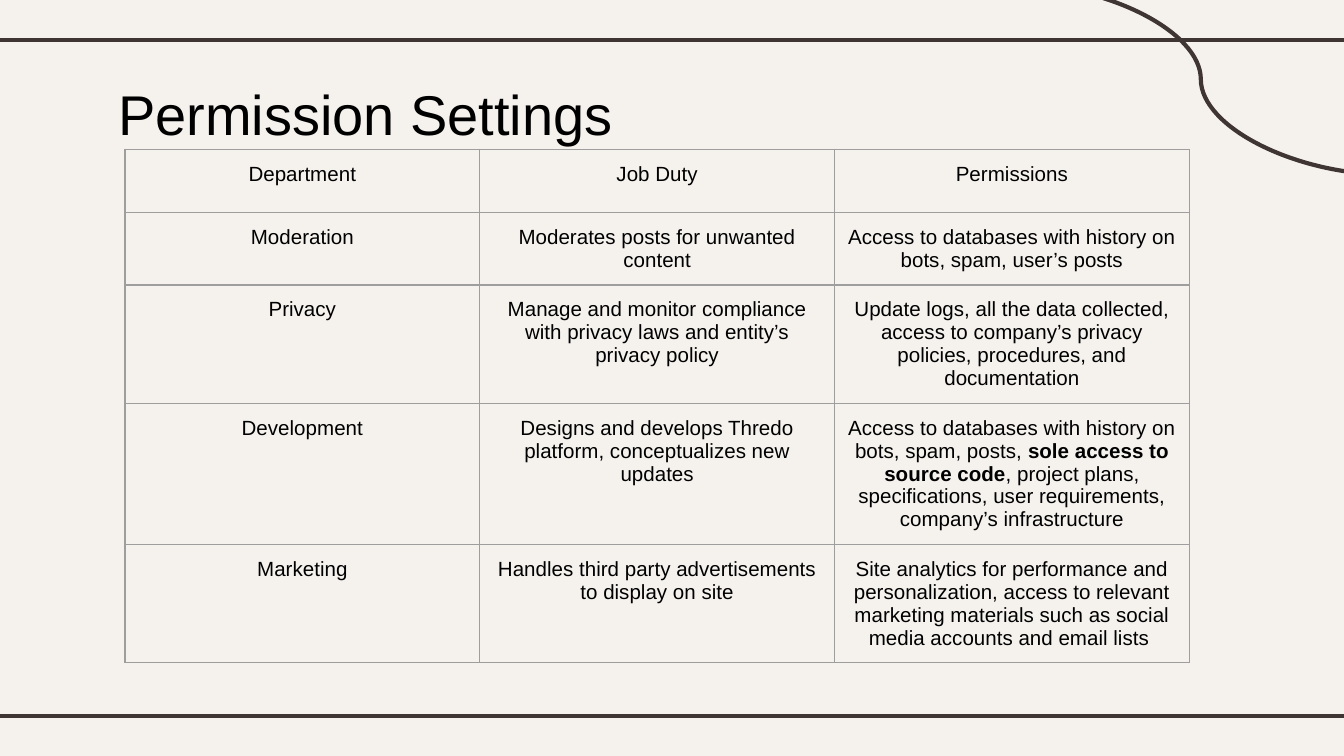
from lxml.etree import SubElement
from pptx import Presentation
from pptx.dml.color import RGBColor
from pptx.enum.shapes import MSO_CONNECTOR
from pptx.enum.text import MSO_ANCHOR, PP_ALIGN
from pptx.oxml.ns import qn
from pptx.util import Inches, Pt

CREAM = RGBColor(0xF5, 0xF2, 0xEE)
BROWN = RGBColor(0x3F, 0x35, 0x33)
GREY = RGBColor(0x9E, 0x9E, 0x9E)
BLACK = RGBColor(0, 0, 0)
FONT = "Arial"

SLIDE_WIDTH = Inches(10)
SLIDE_HEIGHT = SLIDE_WIDTH * 9 // 16
COLUMN_WIDTH = 2.64
HEADER_HEIGHT, ROW_HEIGHT = 0.47, 0.42
BOLD_MARK = "**"

PERMISSIONS = [
    ("Department", "Job Duty", "Permissions"),
    ("Moderation", "Moderates posts for unwanted content",
     "Access to databases with history on bots, spam, user’s posts"),
    ("Privacy",
     "Manage and monitor compliance with privacy laws and entity’s privacy policy",
     "Update logs, all the data collected, access to company’s privacy policies, "
     "procedures, and documentation"),
    ("Development",
     "Designs and develops Thredo platform, conceptualizes new updates",
     "Access to databases with history on bots, spam, posts, "
     "**sole access to source code**, project plans, specifications, "
     "user requirements, company’s infrastructure"),
    ("Marketing", "Handles third party advertisements to display on site",
     "Site analytics for performance and personalization, access to relevant "
     "marketing materials such as social media accounts and email lists "),
]


def style_font(font, size):
    font.name, font.size = FONT, Pt(size)
    font.color.rgb = BLACK


def set_margins(box):
    box.margin_left = box.margin_right = Inches(0.1)
    box.margin_top = box.margin_bottom = Inches(0.1)


def add_rule(slide, kind, *ends):
    rule = slide.shapes.add_connector(kind, *(Inches(end) for end in ends))
    rule.line.color.rgb = BROWN
    rule.line.width = Pt(2.25)
    SubElement(rule._element.spPr, qn("a:effectLst"))


def set_title(slide, text):
    title = slide.shapes.title
    title.left, title.top = Inches(0.78), Inches(0.49)
    title.width, title.height = Inches(5.15), Inches(0.63)
    frame = title.text_frame
    frame.text = text
    frame.vertical_anchor = MSO_ANCHOR.TOP
    set_margins(frame)
    heading = frame.paragraphs[0]
    heading.alignment = PP_ALIGN.LEFT
    style_font(heading.font, 30)


def add_borders(cell):
    """Outline all four sides; borders must come before the cell's fill."""
    properties = cell._tc.get_or_add_tcPr()
    for side in ("a:lnL", "a:lnR", "a:lnT", "a:lnB"):
        border = SubElement(properties, qn(side), w=str(Pt(0.75)))
        fill = SubElement(border, qn("a:solidFill"))
        SubElement(fill, qn("a:srgbClr"), val=str(GREY))


def fill_cell(cell, text):
    """Write text, with the parts between bold marks in bold."""
    add_borders(cell)
    cell.fill.background()
    set_margins(cell)
    paragraph = cell.text_frame.paragraphs[0]
    paragraph.alignment = PP_ALIGN.CENTER
    for index, part in enumerate(text.split(BOLD_MARK)):
        run = paragraph.add_run()
        run.text = part
        style_font(run.font, 11)
        run.font.bold = index % 2 == 1


def add_permissions(slide, rows):
    columns = len(rows[0])
    height = HEADER_HEIGHT + ROW_HEIGHT * (len(rows) - 1)
    table = slide.shapes.add_table(
        len(rows), columns, Inches(0.93), Inches(1.11),
        Inches(COLUMN_WIDTH * columns), Inches(height)).table
    table.first_row = table.horz_banding = False
    for column in table.columns:
        column.width = Inches(COLUMN_WIDTH)
    for index, texts in enumerate(rows):
        table.rows[index].height = Inches(ROW_HEIGHT if index else HEADER_HEIGHT)
        for column, text in enumerate(texts):
            fill_cell(table.cell(index, column), text)


def main():
    presentation = Presentation()
    presentation.slide_width = SLIDE_WIDTH
    presentation.slide_height = SLIDE_HEIGHT
    slide = presentation.slides.add_slide(presentation.slide_layouts[5])
    slide.background.fill.solid()
    slide.background.fill.fore_color.rgb = CREAM
    for y in (0.3, 5.33):
        add_rule(slide, MSO_CONNECTOR.STRAIGHT, -0.08, y, 10.08, y)
    add_rule(slide, MSO_CONNECTOR.CURVE, 7.53, -0.12, 10.34, 1.3)
    set_title(slide, "Permission Settings")
    add_permissions(slide, PERMISSIONS)
    presentation.save("out.pptx")


if __name__ == "__main__":
    main()
